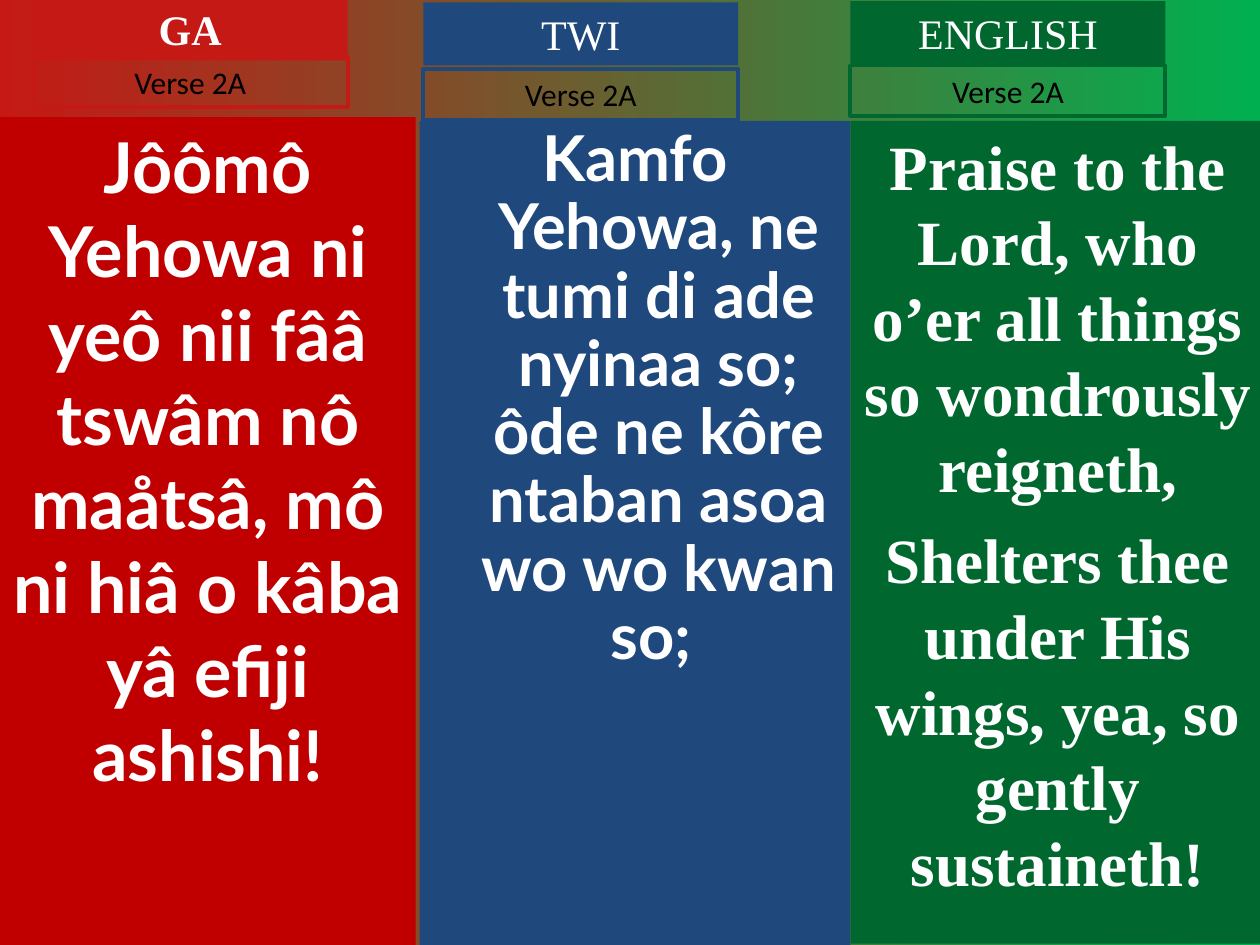
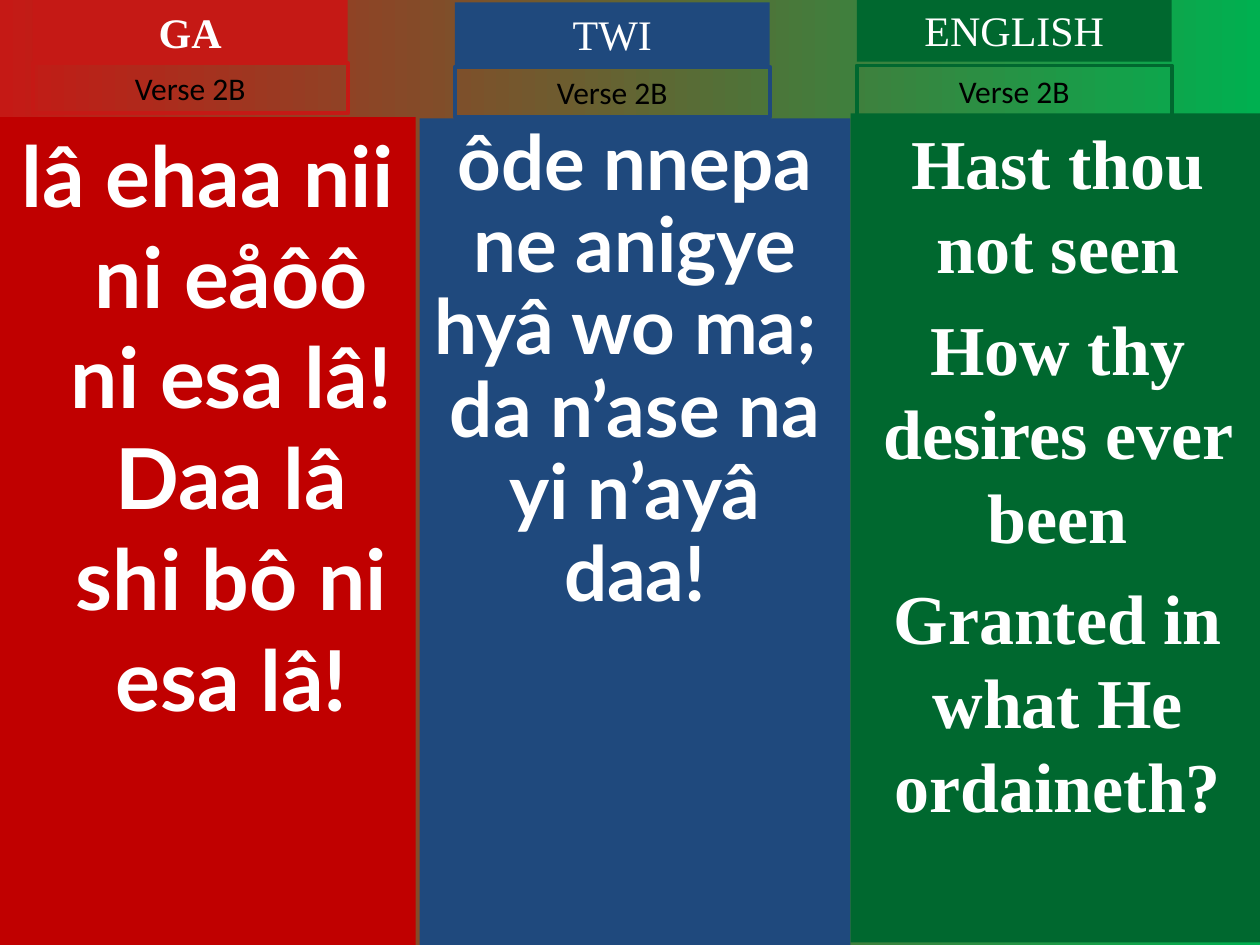
"""Build two hymn slides that set each verse in Ga, Twi and English columns."""
from dataclasses import dataclass
from typing import Optional

from pptx import Presentation
from pptx.dml.color import RGBColor
from pptx.enum.text import MSO_ANCHOR, MSO_AUTO_SIZE, PP_ALIGN
from pptx.enum.shapes import MSO_SHAPE
from pptx.util import Pt

COLOURS = {
    "red": "C51915",
    "deep red": "C00000",
    "blue": "1F497D",
    "green": "00682F",
    "bright green": "00B050",
    "white": "FFFFFF",
    "black": "000000",
}
SERIF, LYRIC, LABEL = "Times New Roman", "Lato", "Calibri"
HEADING_WIDTH, TITLE_HEIGHT, LABEL_HEIGHT = 180, 36, 28.8


@dataclass(frozen=True)
class Language:
    name: str
    colour: str
    body_colour: str
    body_left: float
    body_width: float
    font: str
    line_spacing: float = 1.0
    bold_title: bool = False


@dataclass(frozen=True)
class Column:
    language: Language
    heading_left: float
    title_top: float
    label_top: float
    body_top: float
    body_height: float
    size: float
    lines: tuple[str, ...]
    hanging: float = 0
    gap: float = 0


@dataclass(frozen=True)
class Verse:
    label: str
    columns: tuple[Column, ...]


@dataclass(frozen=True)
class TextStyle:
    font: str
    size: float
    colour: str
    bold: bool = False
    hanging: float = 0
    gap: float = 0
    line_spacing: float = 1.0


GA = Language("GA", "red", "deep red", 0, 237.6, LYRIC, bold_title=True)
TWI = Language("TWI", "blue", "blue", 239.76, 246.24, LYRIC, line_spacing=0.9)
ENGLISH = Language("ENGLISH", "green", "green", 486, 236.88, SERIF)

VERSES = (
    Verse("Verse 2A", (
        Column(GA, 18.72, -1.44, 32.4, 66.96, 473.04, 40,
               ("Jôômô Yehowa ni yeô nii fââ tswâm nô maåtsâ, mô ni hiâ o kâba yâ efiji ashishi!",)),
        Column(TWI, 241.92, 1.44, 39.6, 69.12, 470.88, 36.1,
               ("Kamfo Yehowa, ne tumi di ade nyinaa so; ôde ne kôre ntaban asoa wo wo kwan so; ",),
               hanging=27),
        Column(ENGLISH, 486, 0.72, 37.44, 69.12, 470.16, 36,
               ("Praise to the Lord, who o’er all things so wondrously reigneth,",
                "Shelters thee under His wings, yea, so gently sustaineth!"), gap=9),
    )),
    Verse("Verse 2B", (
        Column(GA, 18.72, 0, 36, 66.96, 473.04, 48,
               ("lâ ehaa nii ni eåôô ni esa lâ! Daa lâ shi bô ni esa lâ!",), hanging=27),
        Column(TWI, 259.92, 1.44, 38.16, 67.68, 472.32, 43.5,
               ("ôde nnepa ne anigye hyâ wo ma; ", "da n’ase na yi n’ayâ daa!")),
        Column(ENGLISH, 489.6, -0.72, 37.44, 64.8, 473.76, 40,
               ("Hast thou not seen", "How thy desires ever been", "Granted in what He ordaineth?"),
               gap=10),
    )),
)


def colour(name: str) -> RGBColor:
    return RGBColor.from_string(COLOURS[name])


def add_box(slide, frame: tuple[float, float, float, float], lines: tuple[str, ...],
            style: TextStyle, fill: Optional[str] = None, outline: Optional[str] = None,
            grow: bool = False) -> None:
    shape = slide.shapes.add_shape(MSO_SHAPE.RECTANGLE, *map(Pt, frame))
    shape.shadow.inherit = False
    if fill:
        shape.fill.solid()
        shape.fill.fore_color.rgb = colour(fill)
    else:
        shape.fill.background()
    if outline:
        shape.line.color.rgb = colour(outline)
        shape.line.width = Pt(2.25)
    else:
        shape.line.fill.background()
    text_frame = shape.text_frame
    text_frame.word_wrap = True
    text_frame.vertical_anchor = MSO_ANCHOR.TOP
    text_frame.auto_size = MSO_AUTO_SIZE.SHAPE_TO_FIT_TEXT if grow else MSO_AUTO_SIZE.NONE
    for index, line in enumerate(lines):
        paragraph = text_frame.paragraphs[0] if index == 0 else text_frame.add_paragraph()
        paragraph.text = line
        paragraph.alignment = PP_ALIGN.CENTER
        paragraph.line_spacing = style.line_spacing
        paragraph.space_before = Pt(style.gap if index else 0)
        if style.hanging:
            properties = paragraph._p.get_or_add_pPr()
            properties.set("marL", str(Pt(style.hanging)))
            properties.set("indent", str(-Pt(style.hanging)))
        paragraph.font.name = style.font
        paragraph.font.size = Pt(style.size)
        paragraph.font.bold = style.bold
        paragraph.font.color.rgb = colour(style.colour)


def add_column(slide, column: Column, label: str) -> None:
    language = column.language
    add_box(slide, (language.body_left, column.body_top, language.body_width, column.body_height),
            column.lines,
            TextStyle(language.font, column.size, "white", True, column.hanging, column.gap,
                      language.line_spacing),
            fill=language.body_colour)
    add_box(slide, (column.heading_left, column.title_top, HEADING_WIDTH, TITLE_HEIGHT),
            (language.name,), TextStyle(SERIF, 24, "white", language.bold_title),
            fill=language.colour, grow=True)
    add_box(slide, (column.heading_left, column.label_top, HEADING_WIDTH, LABEL_HEIGHT),
            (label,), TextStyle(LABEL, 18, "black"), outline=language.colour, grow=True)


def paint_background(slide) -> None:
    fill = slide.background.fill
    fill.gradient()
    fill.gradient_angle = 0
    for stop, position, name in zip(fill.gradient_stops, (0, 1), ("red", "bright green")):
        stop.position = position
        stop.color.rgb = colour(name)


def main() -> None:
    presentation = Presentation()
    presentation.slide_width, presentation.slide_height = Pt(720), Pt(540)
    for verse in VERSES:
        slide = presentation.slides.add_slide(presentation.slide_layouts[6])
        paint_background(slide)
        for column in verse.columns:
            add_column(slide, column, verse.label)
    presentation.save("out.pptx")


if __name__ == "__main__":
    main()
